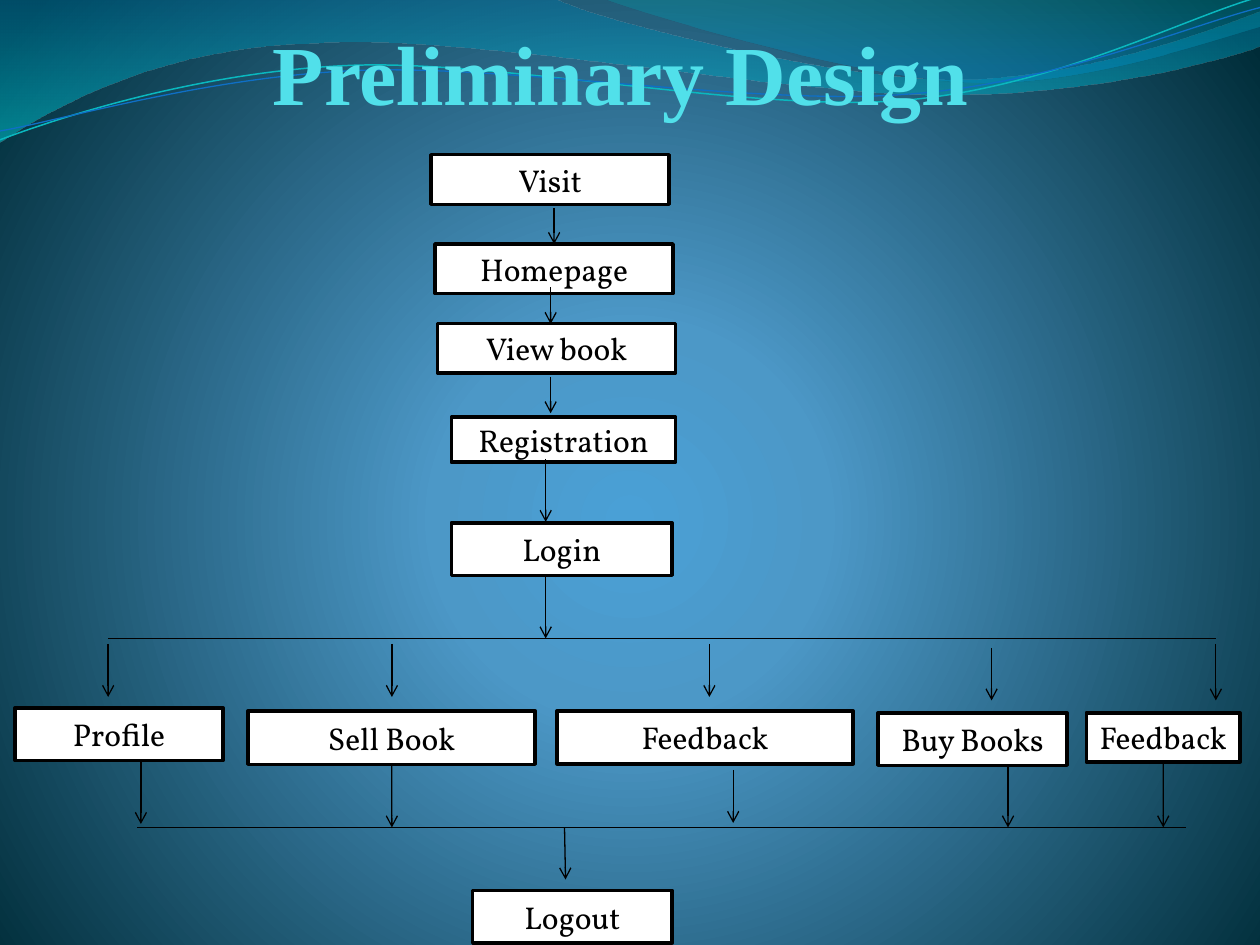
from dataclasses import dataclass
from typing import Optional

from lxml import etree
from pptx import Presentation
from pptx.dml.color import RGBColor
from pptx.enum.shapes import MSO_CONNECTOR, MSO_SHAPE
from pptx.enum.text import MSO_ANCHOR, PP_ALIGN
from pptx.oxml.ns import qn
from pptx.util import Cm, Pt

RECTANGLE = MSO_SHAPE.RECTANGLE
STRAIGHT = MSO_CONNECTOR.STRAIGHT
CENTER = PP_ALIGN.CENTER
TOP, MIDDLE = MSO_ANCHOR.TOP, MSO_ANCHOR.MIDDLE
TOP_SIDE, BOTTOM_SIDE = 0, 2

WHITE = RGBColor(0xFF, 0xFF, 0xFF)
BLACK = RGBColor(0x00, 0x00, 0x00)
TITLE_CYAN = RGBColor(0x51, 0xE0, 0xEA)
SKY = RGBColor(0x4A, 0xA0, 0xD6)
STEEL = RGBColor(0x4C, 0x98, 0xC7)
NIGHT = RGBColor(0x00, 0x2C, 0x38)
OCEAN = RGBColor(0x00, 0x74, 0xA1)
AQUA = RGBColor(0x00, 0xC6, 0xCF)
TEAL = RGBColor(0x00, 0xA1, 0xA9)
AZURE = RGBColor(0x00, 0x8B, 0xBF)
THREAD_TEAL = RGBColor(0x0A, 0xB8, 0xBF)
THREAD_BLUE = RGBColor(0x0F, 0x6F, 0xC6)

WAVE_UNIT = Cm(2.54) / 100  # waves are laid out on a 1000-wide grid


@dataclass
class Step:
    text: str
    left: float
    top: float
    width: float
    height: float


@dataclass
class Arrow:
    x: float
    top: float
    bottom: float
    source: Optional[str] = None
    target: Optional[str] = None
    drift: float = 0


@dataclass
class Wave:
    start: tuple
    segments: list  # two numbers: straight line; six numbers: cubic curve
    stops: Optional[list] = None  # position %, colour, opacity %
    line: Optional[RGBColor] = None
    weight: float = 0


WAVES = [
    Wave((0, 0), [(440, -1), (476, 17, 664, 63, 758, 63),
                  (853, 63, 958, 26, 1000, 9), (1001, 36),
                  (983, 44, 870, 76, 746, 75), (622, 75, 382, 28, 257, 34),
                  (129, 36, 46, 83, -1, 113)],
         stops=[(0, OCEAN, 45), (100, AQUA, 55)]),
    Wave((479, -1), [(509, 11, 682, 62, 769, 65),
                     (856, 69, 961, 32, 1000, 21), (1000, 0)],
         stops=[(0, TEAL, 30), (80, AZURE, 45)]),
    Wave((0, 111), [(48, 93, 158, 57, 277, 52), (395, 47, 593, 89, 713, 80),
                    (833, 71, 938, 15, 998, -2)],
         line=THREAD_TEAL, weight=0.85),
    Wave((0, 104), [(47, 96, 164, 61, 283, 56), (403, 51, 597, 84, 717, 75),
                    (836, 67, 941, 21, 1000, 6)],
         line=THREAD_BLUE, weight=0.75),
]

STEPS = {
    "visit": Step("Visit", 8.69, 3.12, 4.8, 1),
    "homepage": Step("Homepage", 8.77, 4.92, 4.8, 1),
    "view": Step("View book", 8.82, 6.52, 4.8, 1),
    "registration": Step("Registration", 9.1, 8.41, 4.52, 0.91),
    "login": Step("Login", 9.1, 10.54, 4.45, 1.06),
    "profile": Step("Profile", 0.3, 14.27, 4.2, 1.06),
    "sell": Step("Sell Book", 5, 14.33, 5.79, 1.08),
    "feedback": Step("Feedback", 11.23, 14.33, 5.97, 1.07),
    "buy": Step("Buy Books", 17.7, 14.37, 3.81, 1.06),
    "last feedback": Step("Feedback", 21.9, 14.37, 3.1, 0.99),
    "logout": Step("Logout", 9.53, 17.95, 4.02, 1.06),
}

ARROWS = [
    # From visit down to the menu
    Arrow(11.17, 4.19, 4.92, target="homepage"),
    Arrow(11.1, 5.79, 6.53), Arrow(11.1, 7.59, 8.33),
    Arrow(11, 9.25, 10.52), Arrow(11, 11.61, 12.87),
    # Into the menu choices
    Arrow(2.18, 12.98, 14.05), Arrow(7.9, 12.98, 14.05),
    Arrow(14.3, 12.98, 14.05), Arrow(19.99, 13.06, 14.12),
    Arrow(24.51, 12.98, 14.12),
    # Out of the menu choices to logout
    Arrow(2.84, 15.34, 16.61), Arrow(7.9, 15.41, 16.68, source="sell"),
    Arrow(14.78, 15.52, 16.59), Arrow(20.32, 15.42, 16.68),
    Arrow(23.45, 15.36, 16.68, source="last feedback"),
    Arrow(11.38, 16.68, 17.73, drift=0.02),
]

RAILS = [(2.18, 24.51, 12.87), (2.77, 23.9, 16.68)]  # left, right, height


def set_gradient(fill, holder, stops: list, shade: str, settings: dict,
                 focus: Optional[dict] = None) -> None:
    """Fill with colour stops; shade is the tag that gives the direction."""
    fill.gradient()
    gradient = holder.find(".//" + qn("a:gradFill"))
    for child in list(gradient):
        gradient.remove(child)
    stop_list = etree.SubElement(gradient, qn("a:gsLst"))
    for position, color, opacity in stops:
        stop = etree.SubElement(stop_list, qn("a:gs"), pos=str(position * 1000))
        tint = etree.SubElement(stop, qn("a:srgbClr"), val=str(color))
        if opacity < 100:
            etree.SubElement(tint, qn("a:alpha"), val=str(opacity * 1000))
    direction = etree.SubElement(gradient, qn(shade), settings)
    if focus:
        etree.SubElement(direction, qn("a:fillToRect"), focus)


def bend_segments(ribbon, wave: Wave) -> None:
    """Turn the straight segments of a freeform into its cubic curves."""
    anchors = [wave.start] + [segment[-2:] for segment in wave.segments]
    left, top = (min(values) for values in zip(*anchors))
    edges = list(ribbon._element.iter(qn("a:lnTo")))
    for edge, segment in zip(edges, wave.segments):
        if len(segment) == 6:
            curve = etree.Element(qn("a:cubicBezTo"))
            for x, y in zip(segment[::2], segment[1::2]):
                etree.SubElement(curve, qn("a:pt"), x=str(x - left), y=str(y - top))
            edge.getparent().replace(edge, curve)


def draw_wave(slide, wave: Wave) -> None:
    builder = slide.shapes.build_freeform(*wave.start, scale=WAVE_UNIT)
    builder.add_line_segments([segment[-2:] for segment in wave.segments],
                              close=wave.stops is not None)
    ribbon = builder.convert_to_shape()
    bend_segments(ribbon, wave)
    ribbon.shadow.inherit = False
    if wave.stops:
        set_gradient(ribbon.fill, ribbon._element, wave.stops, "a:lin",
                     {"ang": "5400000", "scaled": "0"})
        ribbon.line.fill.background()
    else:
        ribbon.fill.background()
        ribbon.line.color.rgb = wave.line
        ribbon.line.width = Pt(wave.weight)


def add_run(frame, text: str, font: str, size: int, color: RGBColor,
            bold: bool = False) -> None:
    paragraph = frame.paragraphs[0]
    paragraph.alignment = CENTER
    run = paragraph.add_run()
    run.text = text
    run.font.name, run.font.size, run.font.bold = font, Pt(size), bold
    run.font.color.rgb = color


def draw_step(slide, step: Step):
    box = slide.shapes.add_shape(RECTANGLE, Cm(step.left), Cm(step.top),
                                 Cm(step.width), Cm(step.height))
    box.shadow.inherit = False
    box.fill.solid()
    box.fill.fore_color.rgb = WHITE
    box.line.color.rgb = BLACK
    box.line.width = Pt(2)
    box.text_frame.vertical_anchor = MIDDLE
    add_run(box.text_frame, step.text, "Vollkorn", 18, BLACK)
    return box


def draw_line(slide, x1: float, y1: float, x2: float, y2: float, head: bool):
    link = slide.shapes.add_connector(STRAIGHT, Cm(x1), Cm(y1), Cm(x2), Cm(y2))
    link.line.color.rgb = BLACK
    link.line.width = Pt(0.75)
    properties = link._element.spPr
    if head:
        etree.SubElement(properties.find(qn("a:ln")), qn("a:tailEnd"), type="arrow")
    etree.SubElement(properties, qn("a:effectLst"))
    return link


def main() -> None:
    deck = Presentation()
    deck.slide_width, deck.slide_height = Cm(25.4), Cm(19.05)
    slide = deck.slides.add_slide(deck.slide_layouts[5])

    # Background and ribbons
    set_gradient(slide.background.fill, slide._element,
                 [(0, SKY, 100), (25, STEEL, 100), (100, NIGHT, 100)],
                 "a:path", {"path": "circle"},
                 {"l": "10000", "t": "110000", "r": "10000", "b": "100000"})
    for wave in WAVES:
        draw_wave(slide, wave)

    # Title, in front of the ribbons
    title = slide.shapes.title
    slide.shapes._spTree.append(title._element)
    title.left, title.top, title.width, title.height = Cm(1.63), Cm(0.43), Cm(21.82), Cm(3.2)
    frame = title.text_frame
    frame.margin_left = frame.margin_top = frame.margin_bottom = 0
    frame.margin_right = Cm(0.05)
    frame.vertical_anchor = TOP
    add_run(frame, "Preliminary Design", "Times New Roman", 48, TITLE_CYAN, bold=True)

    # Flow chart
    boxes = {key: draw_step(slide, step) for key, step in STEPS.items()}
    for left, right, height in RAILS:
        draw_line(slide, left, height, right, height, head=False)
    for arrow in ARROWS:
        link = draw_line(slide, arrow.x, arrow.top, arrow.x + arrow.drift,
                         arrow.bottom, head=True)
        if arrow.source:
            link.begin_connect(boxes[arrow.source], BOTTOM_SIDE)
        if arrow.target:
            link.end_connect(boxes[arrow.target], TOP_SIDE)

    deck.save("out.pptx")


if __name__ == "__main__":
    main()
